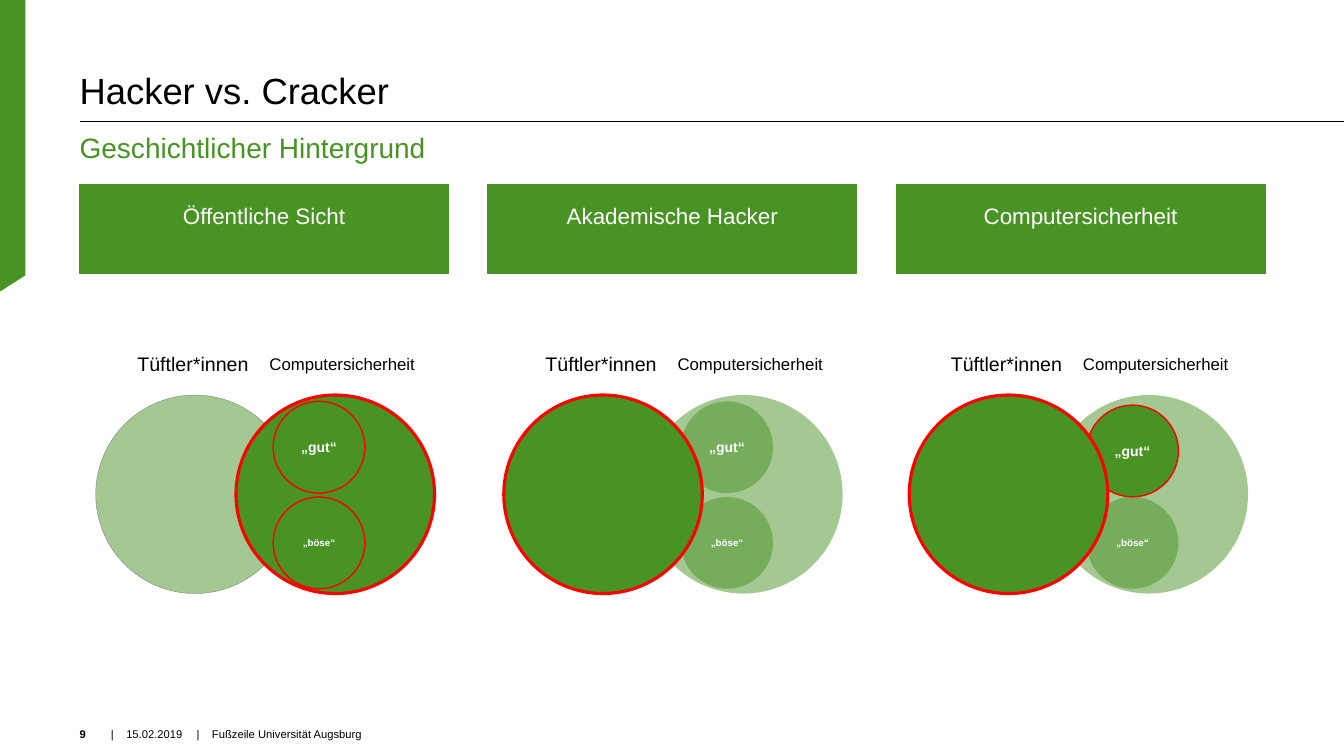
from lxml.etree import SubElement
from pptx import Presentation
from pptx.dml.color import RGBColor
from pptx.enum.shapes import MSO_CONNECTOR as Connector, MSO_SHAPE as Preset
from pptx.enum.text import MSO_ANCHOR as Anchor, MSO_AUTO_SIZE as AutoSize, PP_ALIGN as Align
from pptx.oxml.ns import qn
from pptx.util import Pt

GREEN = RGBColor(0x48, 0x93, 0x24)
RED = RGBColor(0xFF, 0x00, 0x00)
GRAY = RGBColor(0x80, 0x80, 0x80)
BLACK = RGBColor(0x00, 0x00, 0x00)
WHITE = RGBColor(0xFF, 0xFF, 0xFF)

LEFT, RIGHT = 56.9, 960
CONTENT_WIDTH = 846.7
COLUMN_PITCH = 291.6
FOOTER_TOP, FOOTER_HEIGHT = 511.9, 17.3
BIG, SMALL = 141.8, 65.5
BIG_TOP, BAD_TOP = 282.2, 355
RIGHT_SHIFT, SMALL_SHIFT = 100.2, 126.7


class SlidePainter:
    """Draws the elements of one slide in a shared style."""

    def __init__(self, deck, font="Arial"):
        self.slide = deck.slides.add_slide(deck.slide_layouts[6])
        self.shapes = self.slide.shapes
        self.font = font

    def style(self, shape, alpha=100, line=None, weight=0):
        shape.shadow.inherit = False
        shape.fill.solid()
        shape.fill.fore_color.rgb = GREEN
        if alpha < 100:
            color = shape._element.spPr.find(qn("a:solidFill"))[0]
            SubElement(color, qn("a:alpha")).set("val", str(alpha * 1000))
        if line is None:
            shape.line.fill.background()
        else:
            shape.line.color.rgb = line
            shape.line.width = Pt(weight)

    def fill_text(self, shape, text, size, color, bold=False, align=Align.LEFT, anchor=Anchor.TOP, tab=None):
        frame = shape.text_frame
        frame.vertical_anchor = anchor
        para = frame.paragraphs[0]
        para.text = text
        para.alignment = align
        if tab:
            stops = SubElement(para._p.get_or_add_pPr(), qn("a:tabLst"))
            stop = SubElement(stops, qn("a:tab"))
            stop.set("pos", str(Pt(tab)))
            stop.set("algn", "l")
        for span in para.runs:
            span.font.name = self.font
            span.font.size = Pt(size)
            span.font.bold = bold
            span.font.color.rgb = color
        return para

    def insets(self, shape, side=0, bottom=0):
        frame = shape.text_frame
        frame.margin_left = frame.margin_right = Pt(side)
        frame.margin_top, frame.margin_bottom = Pt(0), Pt(bottom)

    def text(self, left, top, width, height, text, size, color=BLACK, **look):
        box = self.shapes.add_textbox(Pt(left), Pt(top), Pt(width), Pt(height))
        box.text_frame.word_wrap = True
        self.insets(box)
        return self.fill_text(box, text, size, color, **look)

    def label(self, left, top, width, height, text, size):
        box = self.shapes.add_textbox(Pt(left), Pt(top), Pt(width), Pt(height))
        box.text_frame.word_wrap = False
        box.text_frame.auto_size = AutoSize.SHAPE_TO_FIT_TEXT
        self.fill_text(box, text, size, BLACK)

    def header(self, left, text):
        box = self.shapes.add_shape(Preset.RECTANGLE, Pt(left), Pt(131.8), Pt(263.5), Pt(63.4))
        self.style(box, line=GREEN, weight=0.5)
        self.insets(box, side=2.9, bottom=18.7)
        self.fill_text(box, text, 16, WHITE, align=Align.CENTER, anchor=Anchor.MIDDLE)

    def circle(self, left, top, size, **look):
        disc = self.shapes.add_shape(Preset.OVAL, Pt(left), Pt(top), Pt(size), Pt(size))
        self.style(disc, **look)
        return disc

    def small_circle(self, left, top, text, size, **look):
        disc = self.circle(left, top, SMALL, **look)
        self.fill_text(disc, text, size, WHITE, bold=True, align=Align.CENTER, anchor=Anchor.MIDDLE)

    def rule(self, left, right, top):
        line = self.shapes.add_connector(Connector.STRAIGHT, Pt(left), Pt(top), Pt(right), Pt(top))
        line.line.color.rgb = BLACK
        line.line.width = Pt(0.5)
        SubElement(line._element.spPr, qn("a:effectLst"))

    def ribbon(self, width, side, bottom):
        builder = self.shapes.build_freeform(Pt(0), Pt(0))
        corners = [(width, 0), (width, side), (0, bottom)]
        builder.add_line_segments([(Pt(x), Pt(y)) for x, y in corners], close=True)
        self.style(builder.convert_to_shape())

    def diagram(self, left, good_top, tinkerers, security, good, bad, security_in_front):
        def draw_tinkerers():
            self.circle(left, BIG_TOP, BIG, **tinkerers)

        def draw_security():
            self.circle(left + RIGHT_SHIFT, BIG_TOP, BIG, **security)
            self.small_circle(left + SMALL_SHIFT, good_top, "„gut“", 10, **good)
            self.small_circle(left + SMALL_SHIFT, BAD_TOP, "„böse“", 7, **bad)

        layers = [draw_security, draw_tinkerers]
        for draw in reversed(layers) if security_in_front else layers:
            draw()
        self.label(left + 22.6, 247.7, 94.3, 24.5, "Tüftler*innen", 14)
        self.label(left + 117, 249.1, 119.5, 21.6, "Computersicherheit", 12)


def main():
    deck = Presentation()
    deck.slide_width, deck.slide_height = Pt(960), Pt(540)
    painter = SlidePainter(deck)

    painter.ribbon(18.2, 196.7, 208.3)
    painter.rule(LEFT, RIGHT, 86.7)
    title = painter.text(LEFT, 0, CONTENT_WIDTH, 79.9, "Hacker vs. Cracker", 26, anchor=Anchor.BOTTOM)
    title.line_spacing = 0.9
    painter.text(LEFT, 92.9, CONTENT_WIDTH, 28.8, "Geschichtlicher Hintergrund", 20, GREEN)

    faded = dict(alpha=50)
    faded_gray = dict(alpha=50, line=GRAY, weight=0.25)
    faded_red = dict(alpha=50, line=RED, weight=1)
    solid_red = dict(line=RED, weight=1)
    marked = dict(line=RED, weight=2.25)
    columns = [
        ("Öffentliche Sicht", 68.4, 286.7, faded_gray, marked, faded_red, faded_red, True),
        ("Akademische Hacker", 359.9, 286.7, marked, faded, faded, faded, False),
        ("Computersicherheit", 649.5, 289.4, marked, faded, solid_red, faded, False),
    ]
    for index, (heading, *diagram) in enumerate(columns):
        painter.header(LEFT + index * COLUMN_PITCH, heading)
        painter.diagram(*diagram)

    footer = [
        (LEFT, 25.2, "9", True, None),
        (79.2, 63.4, "|\t15.02.2019", False, 11),
        (140.4, 574.6, "|\tFußzeile Universität Augsburg", False, 11),
    ]
    for left, width, text, bold, tab in footer:
        painter.text(left, FOOTER_TOP, width, FOOTER_HEIGHT, text, 8, bold=bold, anchor=Anchor.BOTTOM, tab=tab)

    deck.save("out.pptx")


if __name__ == "__main__":
    main()
